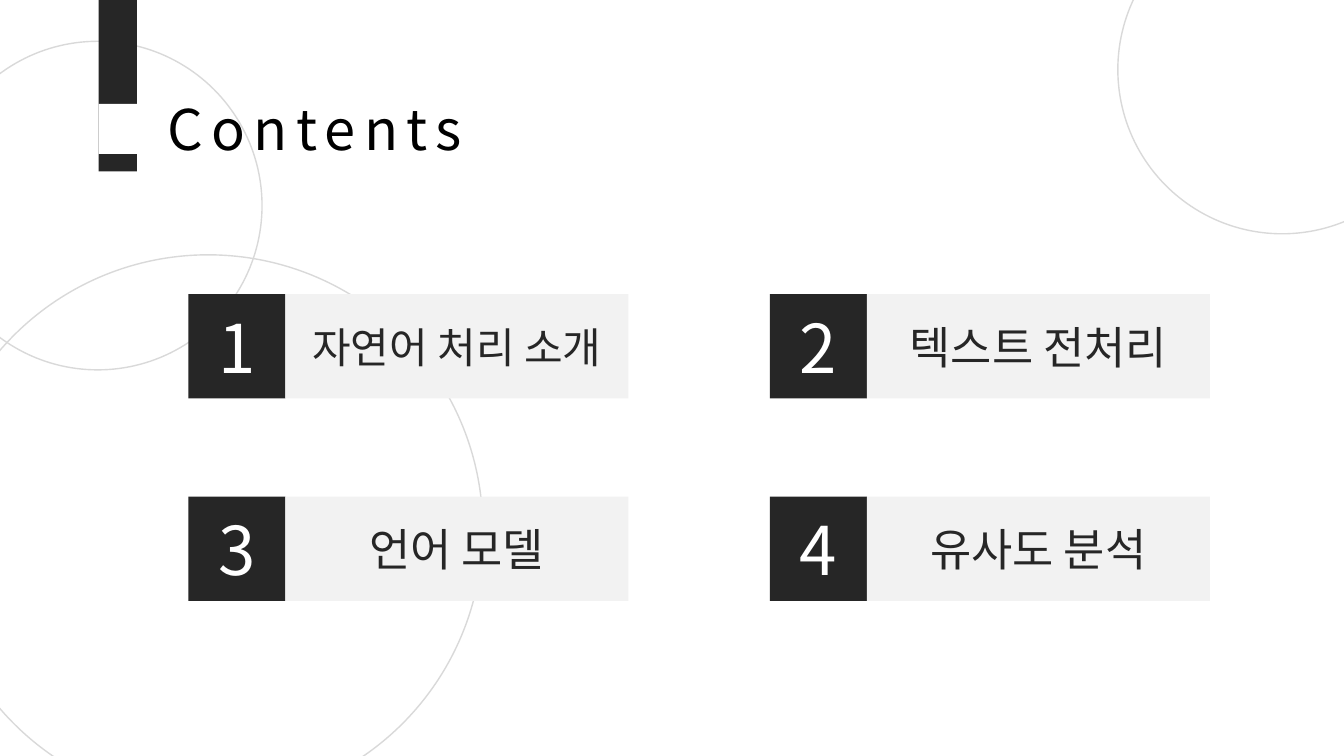
from pptx import Presentation
from pptx.dml.color import RGBColor
from pptx.enum.shapes import MSO_SHAPE as Shape
from pptx.enum.text import MSO_ANCHOR as Anchor, MSO_AUTO_SIZE as AutoSize, PP_ALIGN as Align
from pptx.oxml.ns import qn
from pptx.util import Pt
from lxml.etree import SubElement

DARK, LIGHT, WHITE, BLACK, RING = "262626", "F2F2F2", "FFFFFF", "000000", "D9D9D9"


def add_box(kind, left, top, width, height, fill=None, line=None):
    box = page.shapes.add_shape(kind, Pt(left), Pt(top), Pt(width), Pt(height))
    box.shadow.inherit = False
    for part, color in ((box.fill, fill), (box.line.fill, line)):
        if color:
            part.solid()
            part.fore_color.rgb = RGBColor.from_string(color)
        else:
            part.background()
    if line:
        box.line.width = Pt(1)
    return box


def write(box, text, size, color, typeface, align):
    para = box.text_frame.paragraphs[0]
    para.alignment = align
    span = para.add_run()
    span.text = text
    span.font.color.rgb = RGBColor.from_string(color)
    for name, value in {"size": Pt(size), "name": typeface}.items():
        setattr(span.font, name, value)
    SubElement(span.font._element, qn("a:ea"), typeface=typeface)
    return span


deck = Presentation()
deck.slide_width, deck.slide_height = Pt(960), Pt(540)
page = deck.slides.add_slide(deck.slide_layouts[6])

# Background rings
for left, top, size in ((-47.5, 29.5, 234.7), (-47.5, 182, 392.4), (798.5, -67.7, 234.7)):
    add_box(Shape.OVAL, left, top, size, size, line=RING)

# Title with its marker bar, which has a white gap
add_box(Shape.RECTANGLE, 70.4, 0, 27.5, 122.5, DARK)
title = page.shapes.add_textbox(Pt(112.5), Pt(64), Pt(248.4), Pt(55.4))
title.text_frame.word_wrap = False
title.text_frame.auto_size = AutoSize.SHAPE_TO_FIT_TEXT
span = write(title, "Contents", 40, BLACK, "Noto Sans CJK SC", Align.LEFT)
span.font._element.set("spc", "600")
add_box(Shape.RECTANGLE, 70.4, 74.3, 27.5, 35.6, WHITE)

# Numbered chapters in a two by two grid
chapters = (("자연어 처리 소개", 30), ("텍스트 전처리", 32), ("언어 모델", 32), ("유사도 분석", 32))
number_width, label_width, row_height = 69.3, 245, 74.5
for index, (chapter, label_size) in enumerate(chapters):
    row, column = divmod(index, 2)
    left, top = 134.5 + 415.4 * column, 210.2 + 144.6 * row
    cells = (
        (left, number_width, DARK, str(index + 1), 48, WHITE),
        (left + number_width, label_width, LIGHT, chapter, label_size, DARK),
    )
    for cell_left, width, fill, text, size, color in cells:
        box = add_box(Shape.RECTANGLE, cell_left, top, width, row_height, fill)
        box.text_frame.vertical_anchor = Anchor.MIDDLE
        write(box, text, size, color, "Noto Sans CJK JP", Align.CENTER)

deck.save("out.pptx")
